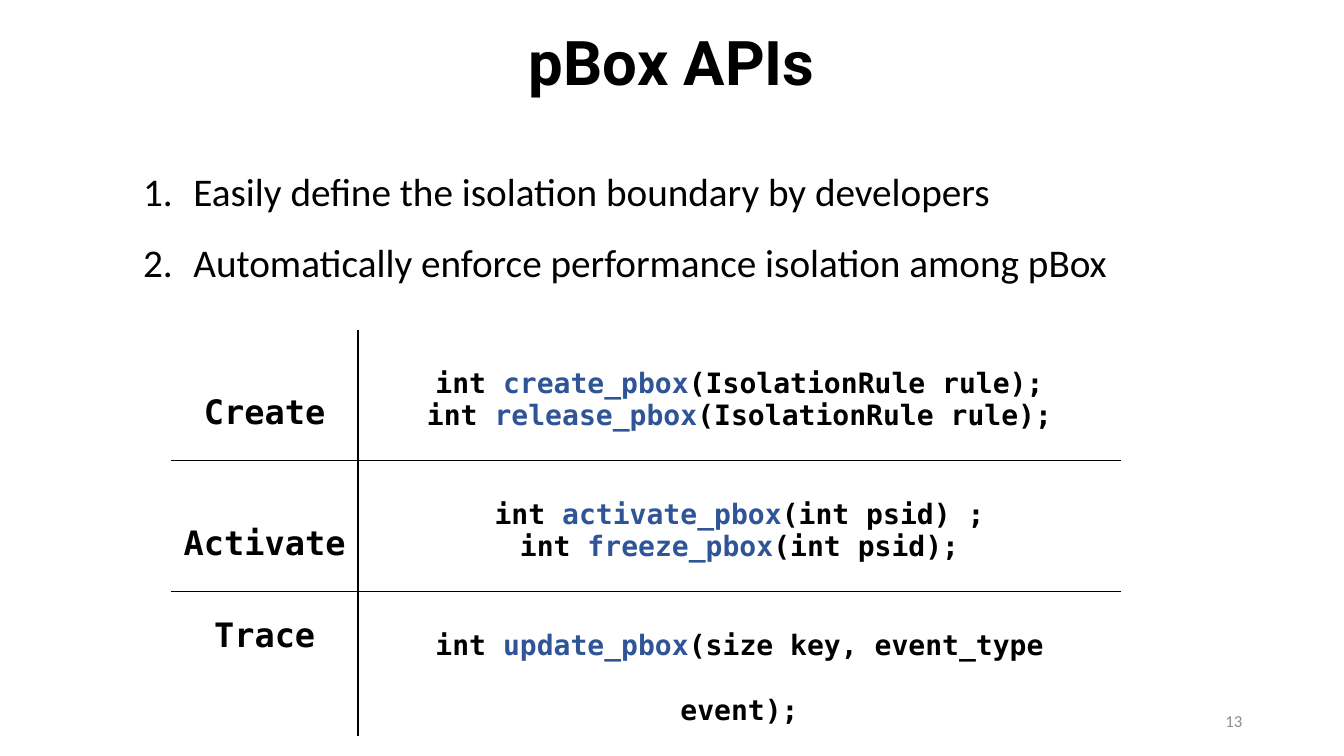
from dataclasses import dataclass

from lxml import etree
from pptx import Presentation
from pptx.dml.color import RGBColor
from pptx.enum.text import MSO_ANCHOR, PP_ALIGN
from pptx.oxml.ns import qn
from pptx.util import Inches, Pt

CENTER, RIGHT = PP_ALIGN.CENTER, PP_ALIGN.RIGHT
MIDDLE = MSO_ANCHOR.MIDDLE


@dataclass(frozen=True)
class Theme:
    ink: str = "000000"
    function: str = "2F5597"
    muted: str = "8C8C8C"
    paper: str = "FFFFFF"
    title_font: str = "Roboto"
    body_font: str = "Calibri"
    code_font: str = "DejaVu Sans Mono"
    title_size: int = 44
    body_size: int = 28
    label_size: int = 24
    code_size: int = 20
    number_size: int = 12
    rule_width: int = 1


THEME = Theme()

GOALS = [
    "Easily define the isolation boundary by developers",
    "Automatically enforce performance isolation among pBox",
]

# Label, label line spacing, row height, and (function, rest of the signature)
API_ROWS = [
    ("Create", 2.5, 1.3, [("create_pbox", "(IsolationRule rule);"),
                          ("release_pbox", "(IsolationRule rule);")]),
    ("Activate", 2.5, 1.3, [("activate_pbox", "(int psid) ;"),
                            ("freeze_pbox", "(int psid);")]),
    ("Trace", 1.5, 0.9, [("update_pbox", "(size key, event_type event);")]),
]


def add_run(paragraph, text, font, size, color=THEME.ink, bold=False):
    run = paragraph.add_run()
    run.text = text
    run.font.name = font
    run.font.size = Pt(size)
    run.font.bold = bold
    run.font.color.rgb = RGBColor.from_string(color)


def add_text_frame(slide, box, anchor=None):
    frame = slide.shapes.add_textbox(*map(Inches, box)).text_frame
    frame.word_wrap = True
    if anchor is not None:
        frame.vertical_anchor = anchor
    return frame


def next_paragraph(frame, index):
    return frame.add_paragraph() if index else frame.paragraphs[0]


def add_title(slide, box, text):
    paragraph = add_text_frame(slide, box, MIDDLE).paragraphs[0]
    paragraph.alignment = CENTER
    paragraph.line_spacing = 0.9
    add_run(paragraph, text, THEME.title_font, THEME.title_size, bold=True)


def add_page_number(slide, box, text):
    paragraph = add_text_frame(slide, box, MIDDLE).paragraphs[0]
    paragraph.alignment = RIGHT
    add_run(paragraph, text, THEME.body_font, THEME.number_size, THEME.muted)


def add_numbered_list(slide, box, items):
    frame = add_text_frame(slide, box)
    for index, item in enumerate(items):
        paragraph = next_paragraph(frame, index)
        paragraph.line_spacing = 1.5
        properties = paragraph._p.get_or_add_pPr()
        properties.set("marL", str(Inches(0.5)))
        properties.set("indent", str(-Inches(0.5)))
        etree.SubElement(properties, qn("a:buFont"), typeface="+mj-lt")
        etree.SubElement(properties, qn("a:buAutoNum"), type="arabicPeriod")
        add_run(paragraph, item, THEME.body_font, THEME.body_size)


def style_cell(cell, ruled_sides):
    # Borders come before the fill in the cell properties
    properties = cell._tc.get_or_add_tcPr()
    for side in "LRTB":
        line = etree.SubElement(properties, qn(f"a:ln{side}"), w=str(Pt(THEME.rule_width)))
        if side in ruled_sides:
            fill = etree.SubElement(line, qn("a:solidFill"))
            etree.SubElement(fill, qn("a:srgbClr"), val=THEME.ink)
        else:
            etree.SubElement(line, qn("a:noFill"))
    cell.fill.solid()
    cell.fill.fore_color.rgb = RGBColor.from_string(THEME.paper)


def add_api_table(slide, box, rows, label_width):
    left, top, width, height = map(Inches, box)
    table = slide.shapes.add_table(len(rows), 2, left, top, width, height).table
    table.first_row = table.horz_banding = False
    table.columns[0].width = Inches(label_width)
    table.columns[1].width = width - Inches(label_width)

    for index, (label, label_spacing, row_height, signatures) in enumerate(rows):
        table.rows[index].height = Inches(row_height)
        label_cell, code_cell = table.cell(index, 0), table.cell(index, 1)

        # Only inner rules are drawn
        across = ("T" if index else "") + ("B" if index < len(rows) - 1 else "")
        style_cell(label_cell, "R" + across)
        style_cell(code_cell, "L" + across)

        paragraph = label_cell.text_frame.paragraphs[0]
        paragraph.alignment = CENTER
        paragraph.line_spacing = label_spacing
        add_run(paragraph, label, THEME.code_font, THEME.label_size, bold=True)

        for number, (function, rest) in enumerate(signatures):
            paragraph = next_paragraph(code_cell.text_frame, number)
            paragraph.alignment = CENTER
            paragraph.line_spacing = 1.0 if number else 2.0
            for text, color in (("int ", THEME.ink), (function, THEME.function),
                                (rest, THEME.ink)):
                add_run(paragraph, text, THEME.code_font, THEME.code_size, color, True)


def main():
    presentation = Presentation()
    presentation.slide_width = Inches(13.33)
    presentation.slide_height = Inches(7.5)
    slide = presentation.slides.add_slide(presentation.slide_layouts[6])

    add_title(slide, (0, 0, 13.33, 1.3), "pBox APIs")
    add_page_number(slide, (9.42, 6.95, 3, 0.4), "13")
    add_api_table(slide, (1.7, 3.27, 9.42, 3.5), API_ROWS, label_width=1.85)
    add_numbered_list(slide, (1.32, 1.38, 10.18, 1.44), GOALS)

    presentation.save("out.pptx")


if __name__ == "__main__":
    main()
